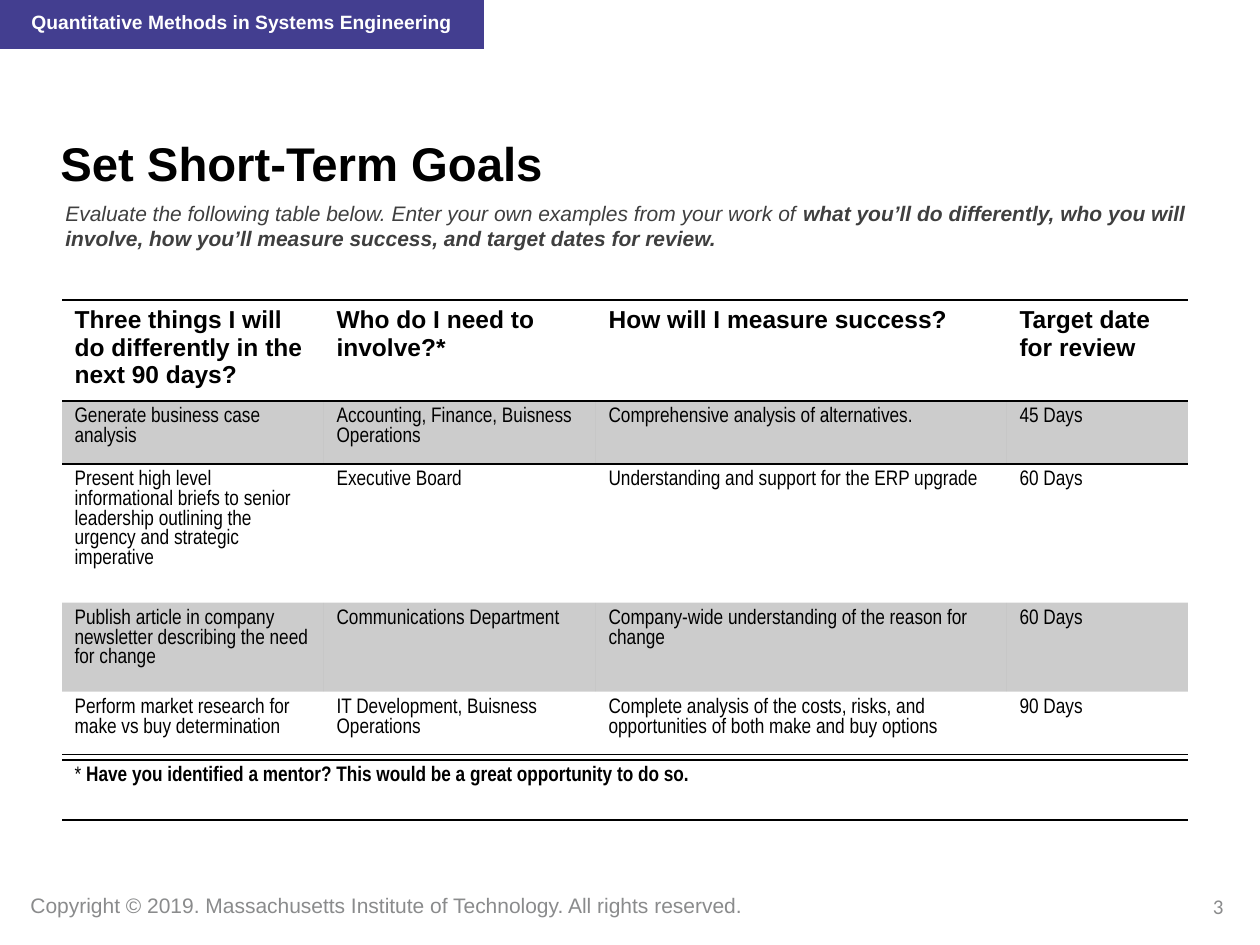
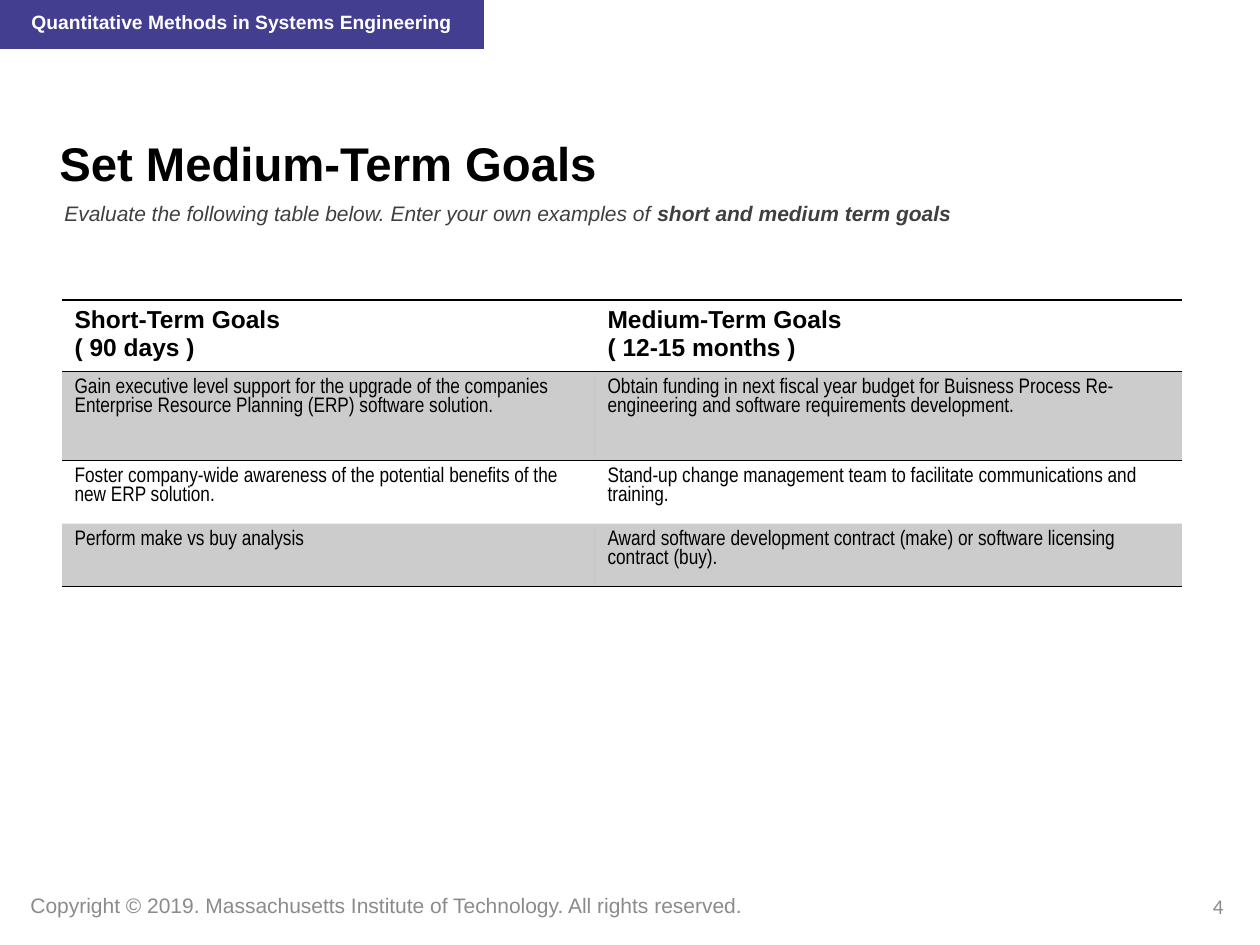
import pptx
import pptx.dml.color
import pptx.enum.shapes
import pptx.enum.text
import pptx.oxml
import pptx.util
from lxml import etree

RGBColor = pptx.dml.color.RGBColor
PP_ALIGN = pptx.enum.text.PP_ALIGN
MSO_ANCHOR = pptx.enum.text.MSO_ANCHOR

PX = 914400 // 126
PURPLE = RGBColor(0x43, 0x3E, 0x90)
WHITE = RGBColor(0xFF, 0xFF, 0xFF)
BLACK = RGBColor(0, 0, 0)
DARK_GREY = RGBColor(0x3F, 0x3F, 0x3F)
GREY = RGBColor(0x8A, 0x8B, 0x8C)
NO_STYLE = "{2D5ABB26-0587-4C30-8999-92F81FD0307C}"
NS = "http://schemas.openxmlformats.org/drawingml/2006/main"

SHORT_TERM = [
    ["Three things I will do differently in the next 90 days?",
     "Who do I need to involve?*", "How will I measure success?",
     "Target date for review"],
    ["Generate business case analysis",
     "Accounting, Finance, Buisness Operations",
     "Comprehensive analysis of alternatives.", "45 Days"],
    ["Present high level informational briefs to senior leadership "
     "outlining the urgency and strategic imperative",
     "Executive Board", "Understanding and support for the ERP upgrade",
     "60 Days"],
    ["Publish article in company newsletter describing the need for change",
     "Communications Department",
     "Company-wide understanding of the reason for change", "60 Days"],
    ["Perform market research for make vs buy determination",
     "IT Development, Buisness Operations",
     "Complete analysis of the costs, risks, and opportunities of both make "
     "and buy options", "90 Days"],
]
MEDIUM_TERM = [
    ["Short-Term Goals \n( 90 days )", "Medium-Term Goals \n( 12-15 months )"],
    ["Gain executive level support for the upgrade of the companies "
     "Enterprise Resource Planning (ERP) software solution.",
     "Obtain funding in next fiscal year budget for Buisness Process "
     "Re-engineering and software requirements development."],
    ["Foster company-wide awareness of the potential benefits of the new ERP "
     "solution.",
     "Stand-up change management team to facilitate communications and "
     "training."],
    ["Perform make vs buy analysis",
     "Award software development contract (make) or software licensing "
     "contract (buy)."],
]


def px(*lengths):
    return [n * PX for n in lengths]


def write(tf, text, size, color, name="Arial", bold=False, italic=False,
          strong="", align=PP_ALIGN.LEFT):
    """Fill the first paragraph; strong is a bold run after the text."""
    p = tf.paragraphs[0]
    p.text = text
    p.alignment = align
    p.font.name = name
    p.font.size = pptx.util.Pt(size)
    p.font.color.rgb = color
    p.font.italic = italic
    if strong:
        r = p.add_run()
        r.text = strong
        r.font.bold = True
    else:
        p.font.bold = bold


def add_rect(s, x, y, w, h, color):
    sp = s.shapes.add_shape(pptx.enum.shapes.MSO_SHAPE.RECTANGLE,
                            *px(x, y, w, h))
    sp.shadow.inherit = False
    sp.fill.solid()
    sp.fill.fore_color.rgb = color
    sp.line.fill.background()
    return sp


def add_text(s, x, y, w, h, text, size, color, **style):
    tf = s.shapes.add_textbox(*px(x, y, w, h)).text_frame
    tf.word_wrap = True
    write(tf, text, size, color, **style)


def add_title(s, x, text):
    tf = add_rect(s, x, 126, 1072, 73, WHITE).text_frame
    tf.vertical_anchor = MSO_ANCHOR.MIDDLE
    tf.word_wrap = True
    write(tf, text, 27, BLACK, bold=True)


def shade(cell):
    """Tint a cell with 20% black."""
    cell.fill.solid()
    cell.fill.fore_color.rgb = BLACK
    color = cell.fill._xPr.find(f".//{{{NS}}}srgbClr")
    etree.SubElement(color, f"{{{NS}}}alpha", val="20000")


def add_rules(cell, *sides):
    """Draw 1 pt lines on the given sides, named in the order T, B."""
    tcPr = cell._tc.get_or_add_tcPr()
    for i, side in enumerate(sides):
        tcPr.insert(i, pptx.oxml.parse_xml(
            f'<a:ln{side} xmlns:a="{NS}" w="12700"><a:solidFill>'
            f'<a:srgbClr val="{BLACK}"/></a:solidFill></a:ln{side}>'))


def add_table(s, y, widths, heights):
    frame = s.shapes.add_table(len(heights), len(widths),
                               *px(62, y, sum(widths), sum(heights)))
    table = frame.table
    table.first_row = table.horz_banding = False
    table._tbl.tblPr.find(f"{{{NS}}}tableStyleId").text = NO_STYLE
    for col, width in zip(table.columns, widths):
        col.width = width * PX
    for row, height in zip(table.rows, heights):
        row.height = height * PX
    return table


def add_goals(s, goals, widths, heights):
    table = add_table(s, 300, widths, heights)
    for i, row in enumerate(goals):
        for j, text in enumerate(row):
            cell = table.cell(i, j)
            if i == 0:
                write(cell.text_frame, text, 14, BLACK, bold=True)
                add_rules(cell, "T", "B")
                continue
            write(cell.text_frame, text, 12, BLACK, name="Arial Narrow")
            if i % 2:
                shade(cell)
            if i == 1:
                add_rules(cell, "T")
            if i == len(goals) - 1:
                add_rules(cell, "B")


def add_mentor_note(s):
    cell = add_table(s, 760, [1126], [60]).cell(0, 0)
    write(cell.text_frame, "* ", 12, BLACK, name="Arial Narrow",
          strong="Have you identified a mentor? This would be a great "
                 "opportunity to do so.")
    add_rules(cell, "T", "B")


def add_slide(prs, number, x, title, task, strong):
    """Start a slide with band, footer, title and instructions."""
    s = prs.slides.add_slide(prs.slide_layouts[6])
    add_rect(s, -1, 0, 485, 49, PURPLE)
    add_text(s, 19, 4, 457, 29, "Quantitative Methods in Systems Engineering",
             11, WHITE, bold=True)
    add_text(s, 18, 886, 750, 38, "Copyright © 2019. Massachusetts Institute "
             "of Technology. All rights reserved.", 12, GREY)
    add_title(s, x, title)
    add_text(s, x + 5, 194, 1163, 62, task, 12, DARK_GREY, italic=True,
             strong=strong)
    add_text(s, 942, 887, 294, 50, str(number), 12, GREY, name="Calibri",
             align=PP_ALIGN.RIGHT)
    return s


def main():
    prs = pptx.Presentation()
    prs.slide_width = pptx.util.Inches(10)
    prs.slide_height = pptx.util.Inches(7.5)

    s = add_slide(prs, 3, 48, "Set Short-Term Goals",
                  "Evaluate the following table below. Enter your own examples "
                  "from your work of ",
                  "what you’ll do differently, who you will involve, how you’ll "
                  "measure success, and target dates for review.")
    add_goals(s, SHORT_TERM, [262, 272, 411, 181], [101, 63, 138, 89, 63])
    add_mentor_note(s)

    s = add_slide(prs, 4, 47, "Set Medium-Term Goals",
                  "Evaluate the following table below. Enter your own examples "
                  "of ", "short and medium term goals")
    add_goals(s, MEDIUM_TERM, [533, 587], [71, 89, 63, 63])

    prs.save("out.pptx")


if __name__ == "__main__":
    main()
